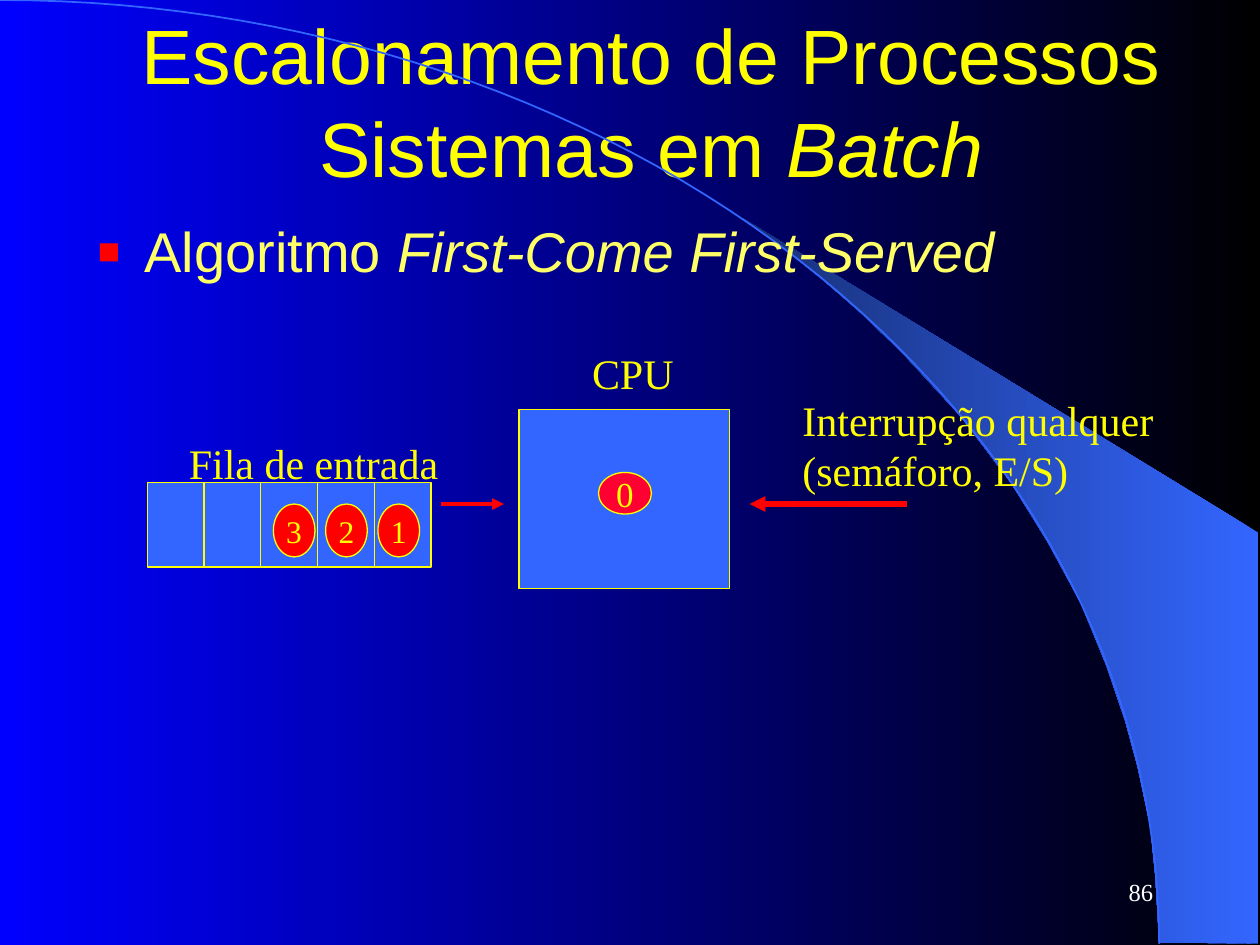
from dataclasses import dataclass
from math import cos, pi, sin

from lxml.etree import SubElement
from pptx import Presentation
from pptx.dml.color import RGBColor
from pptx.enum.shapes import MSO_CONNECTOR, MSO_SHAPE
from pptx.enum.text import MSO_ANCHOR, MSO_AUTO_SIZE, PP_ALIGN
from pptx.oxml.ns import qn
from pptx.util import Inches, Pt


@dataclass(frozen=True)
class Theme:
    sans: str = "Arial"
    serif: str = "Times New Roman"
    black: str = "000000"
    white: str = "FFFFFF"
    night: str = "0000FF"
    blue: str = "3366FF"
    navy: str = "172F75"
    yellow: str = "FFFF00"
    cream: str = "FFFF66"
    red: str = "FF0000"
    crimson: str = "FF0033"
    title: int = 44
    body: int = 32
    label: int = 24
    cpu_job: int = 20
    queue_job: int = 18
    number: int = 14


T = Theme()
WEDGE = [(9.2, 7.48), (9.99, 7.49), (9.99, 4.23), (5.89, 1.73), (6.24, 1.99),
         (6.53, 2.22), (6.85, 2.5), (7.16, 2.8), (7.62, 3.3), (8.03, 3.84),
         (8.32, 4.31), (8.58, 4.79), (8.78, 5.28), (8.93, 5.72), (9.03, 6.09),
         (9.13, 6.56), (9.17, 6.96)]


def rgb(color):
    return RGBColor.from_string(color)


def set_gradient(fill, start, end):
    """Run a gradient from the right edge to the left edge."""
    fill.gradient()
    fill.gradient_angle = 180
    for stop, color in zip(fill.gradient_stops, (start, end)):
        stop.color.rgb = rgb(color)


def add_bullet(p, color, percent, char):
    pPr = p._p.get_or_add_pPr()
    pPr.set("marL", str(Inches(0.38)))
    pPr.set("indent", str(-Inches(0.38)))
    SubElement(SubElement(pPr, qn("a:buClr")), qn("a:srgbClr"), val=color)
    SubElement(pPr, qn("a:buSzPct"), val=str(percent * 1000))
    SubElement(pPr, qn("a:buFont"), typeface=T.sans)
    SubElement(pPr, qn("a:buChar"), char=char)


def write(sp, text, size, color=T.yellow, font=T.serif, italic="",
          align=PP_ALIGN.LEFT, anchor=MSO_ANCHOR.TOP, wrap=False):
    """Fill a shape with text; the words in italic close the last line."""
    tf = sp.text_frame
    tf.auto_size = MSO_AUTO_SIZE.NONE
    tf.word_wrap = wrap
    tf.vertical_anchor = anchor
    tf.text = text
    if italic:
        tf.paragraphs[-1].add_run().text = italic
        tf.paragraphs[-1].runs[-1].font.italic = True
    for p in tf.paragraphs:
        p.alignment = align
        for r in p.runs:
            r.font.name, r.font.size = font, Pt(size)
            r.font.color.rgb = rgb(color)
    return tf


def add_label(s, box, text, size=T.label, **fmt):
    return write(s.shapes.add_textbox(*map(Inches, box)), text, size, **fmt)


def add_box(s, kind, box, fill):
    sp = s.shapes.add_shape(kind, *map(Inches, box))
    sp.shadow.inherit = False
    sp.fill.solid()
    sp.fill.fore_color.rgb = rgb(fill)
    sp.line.color.rgb = rgb(T.yellow)
    sp.line.width = Pt(0.75)
    return sp


def add_job(s, box, text, size, fill=T.red):
    write(add_box(s, MSO_SHAPE.OVAL, box, fill), text, size,
          align=PP_ALIGN.CENTER, anchor=MSO_ANCHOR.MIDDLE)


def add_arrow(s, x1, x2, y, width):
    line = s.shapes.add_connector(MSO_CONNECTOR.STRAIGHT,
                                  *map(Inches, (x1, y, x2, y)))
    line.line.color.rgb = rgb(T.red)
    line.line.width = Pt(width)
    SubElement(line.line._get_or_add_ln(), qn("a:tailEnd"), type="triangle")
    SubElement(line._element.spPr, qn("a:effectLst"))


def add_outline(s, points, close):
    pts = [(Inches(x), Inches(y)) for x, y in points]
    builder = s.shapes.build_freeform(*pts[0], scale=1.0)
    builder.add_line_segments(pts[1:], close=close)
    sp = builder.convert_to_shape()
    sp.shadow.inherit = False
    return sp


def add_backdrop(s):
    set_gradient(s.background.fill, T.black, T.night)
    wedge = add_outline(s, WEDGE, close=True)
    set_gradient(wedge.fill, T.blue, T.navy)
    wedge.line.fill.background()
    # Quarter ellipse from the top left corner to the bottom edge
    steps = 60
    angles = [pi / 2 * i / steps for i in range(steps + 1)]
    arc = add_outline(s, [(9.2 * sin(a), 7.49 * (1 - cos(a))) for a in angles],
                      close=False)
    arc.fill.background()
    arc.line.color.rgb = rgb(T.blue)
    arc.line.width = Pt(1)


def add_heading(s):
    title = s.shapes.title
    title.left, title.top, title.width, title.height = map(
        Inches, (0.67, 0.17, 9, 1.25))
    write(title, "Escalonamento de Processos\vSistemas em ", T.title,
          font=T.sans, italic="Batch", align=PP_ALIGN.CENTER,
          anchor=MSO_ANCHOR.MIDDLE, wrap=True)
    tf = add_label(s, (0.67, 1.67, 9, 0.67), "Algoritmo ", T.body,
                   color=T.cream, font=T.sans, italic="First-Come First-Served",
                   align=PP_ALIGN.JUSTIFY, wrap=True)
    add_bullet(tf.paragraphs[0], T.red, 130, "▪")


def add_interrupt(s):
    add_arrow(s, 7.2, 5.95, 4, 3)
    add_label(s, (6.27, 3.08, 2.98, 0.9),
              "Interrupção qualquer\n(semáforo, E/S)")


def add_cpu(s):
    add_box(s, MSO_SHAPE.RECTANGLE, (4.12, 3.25, 1.67, 1.42), T.blue)
    add_label(s, (4.6, 2.71, 0.85, 0.5), "CPU")
    add_job(s, (4.75, 3.75, 0.42, 0.33), "0", T.cpu_job, T.crimson)


def add_queue(s):
    add_arrow(s, 3.5, 4, 4, 2.25)
    add_label(s, (1.4, 3.42, 2.18, 0.5), "Fila de entrada")
    for i in range(5):
        add_box(s, MSO_SHAPE.RECTANGLE, (1.17 + 0.45 * i, 3.83, 0.45, 0.67),
                T.blue)
    for i, job in enumerate("321"):
        add_job(s, (2.17 + 0.415 * i, 4, 0.33, 0.42), job, T.queue_job)


def main():
    prs = Presentation()
    prs.slide_width, prs.slide_height = Inches(10), Inches(7.5)
    s = prs.slides.add_slide(prs.slide_layouts[5])
    add_backdrop(s)
    add_heading(s)
    # Scheduling diagram
    add_interrupt(s)
    add_cpu(s)
    add_queue(s)
    # Page number
    add_label(s, (7.17, 6.83, 2.08, 0.5), "86", T.number, color=T.white,
              align=PP_ALIGN.RIGHT, anchor=MSO_ANCHOR.MIDDLE, wrap=True)
    prs.save("out.pptx")


if __name__ == "__main__":
    main()
